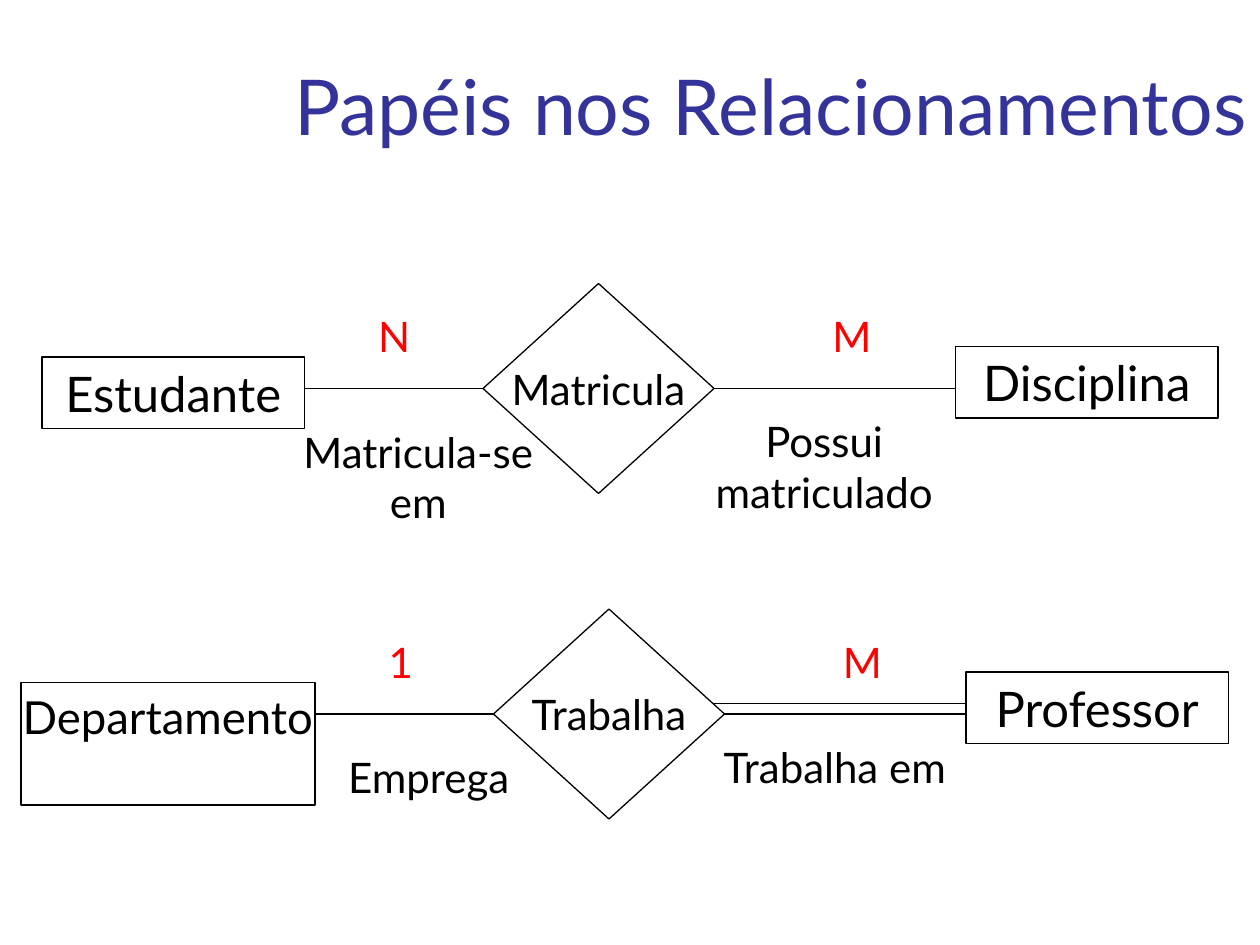
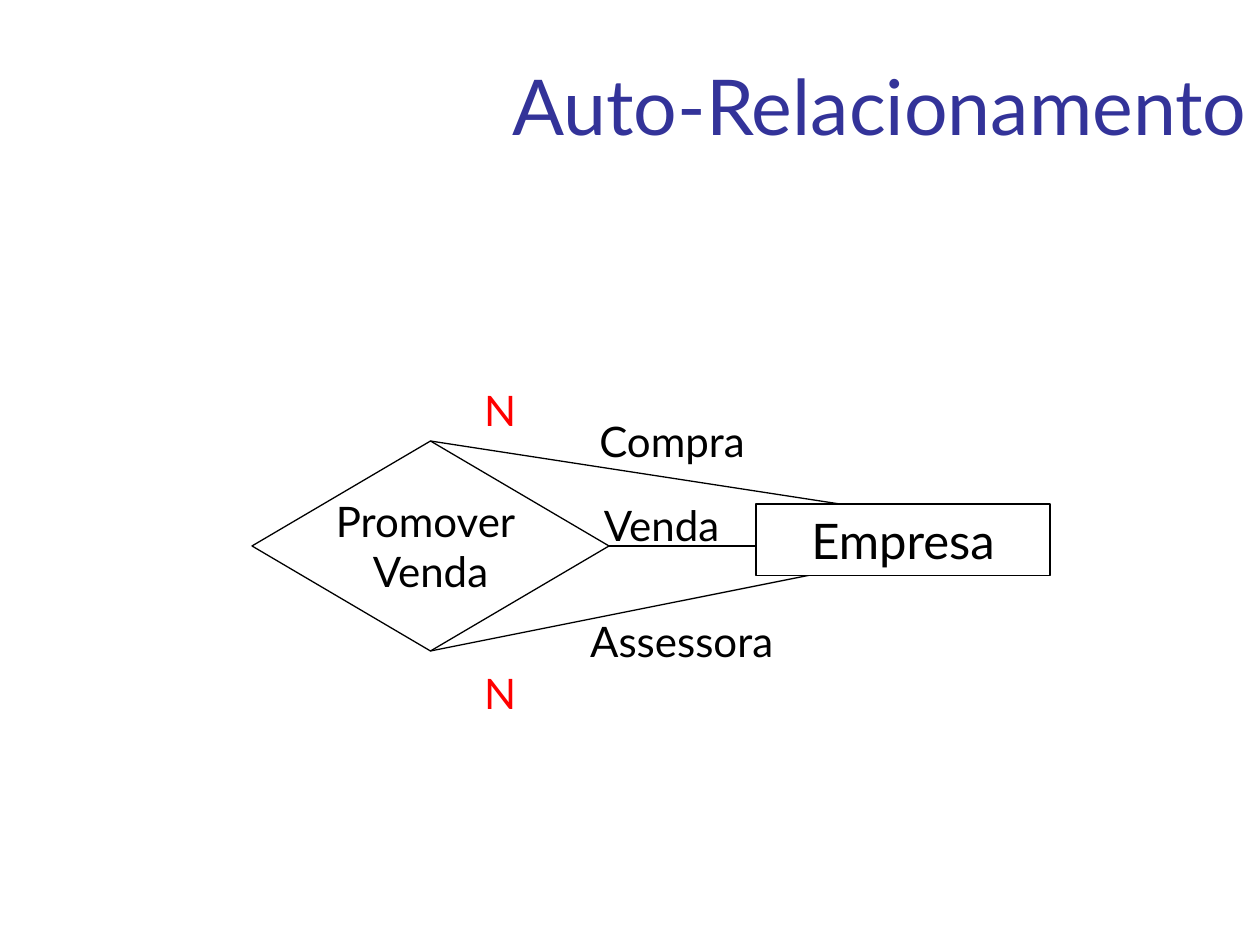
import pptx
import pptx.dml.color
import pptx.enum.shapes
import pptx.enum.text
import pptx.oxml
import pptx.util

Pt = pptx.util.Pt
SHAPE = pptx.enum.shapes.MSO_SHAPE
ALIGN = pptx.enum.text.PP_ALIGN
ANCHOR = pptx.enum.text.MSO_ANCHOR
FIT = pptx.enum.text.MSO_AUTO_SIZE

FONT = "Lato"
BLACK, WHITE, RED, INDIGO = "000000", "FFFFFF", "FF0000", "333399"
LINE_WIDTH = 0.75
DIAMOND_HEIGHT, ENTITY_HEIGHT = 120, 41
TOP, BOTTOM = 0, 2
NARROW, WIDE = 32, 150


def rgb(code):
    return pptx.dml.color.RGBColor.from_string(code)


def apply(obj, values):
    for name, value in values.items():
        setattr(obj, name, value)


def write(tf, text, size, color=BLACK, align=ALIGN.CENTER, **frame):
    """Fill a text frame, one paragraph per line of text."""
    inset = frame.pop("inset", 7.2)
    apply(tf, {"margin_left": Pt(inset), "margin_right": Pt(inset),
               "margin_top": Pt(3.6), "margin_bottom": Pt(3.6), **frame})
    tf.text = text
    for p in tf.paragraphs:
        p.alignment = align
        for r in p.runs:
            apply(r.font, {"name": FONT, "size": Pt(size)})
            r.font.color.rgb = rgb(color)


def add_slide(prs, title):
    s = prs.slides.add_slide(prs.slide_layouts[5])
    sp = s.shapes.title
    apply(sp, {"left": Pt(106.5), "top": Pt(0),
               "width": Pt(613.5), "height": Pt(90)})
    write(sp.text_frame, title, 44, INDIGO, ALIGN.RIGHT, word_wrap=True,
          vertical_anchor=ANCHOR.BOTTOM, auto_size=FIT.NONE)
    return s


def add_box(s, kind, left, top, width, height):
    sp = s.shapes.add_shape(kind, Pt(left), Pt(top), Pt(width), Pt(height))
    sp.shadow.inherit = False
    sp.fill.solid()
    sp.fill.fore_color.rgb = rgb(WHITE)
    sp.line.color.rgb = rgb(BLACK)
    sp.line.width = Pt(LINE_WIDTH)
    return sp


def add_diamond(s, text, left, top, width):
    sp = add_box(s, SHAPE.DIAMOND, left, top, width, DIAMOND_HEIGHT)
    write(sp.text_frame, text, 24, word_wrap=False,
          vertical_anchor=ANCHOR.MIDDLE, auto_size=FIT.NONE)
    return sp


def add_entity(s, text, left, top, width=150, height=ENTITY_HEIGHT, size=28,
               inset=7.2):
    sp = add_box(s, SHAPE.RECTANGLE, left, top, width, height)
    write(sp.text_frame, text, size, inset=inset, word_wrap=True,
          vertical_anchor=ANCHOR.TOP, auto_size=FIT.NONE)
    return sp


def add_label(s, text, center, top, width=WIDE, color=BLACK,
              align=ALIGN.CENTER):
    height = 7.2 + 28.8 * len(text.split("\n"))
    sp = s.shapes.add_textbox(Pt(center - width / 2), Pt(top),
                              Pt(width), Pt(height))
    write(sp.text_frame, text, 24, color, align, word_wrap=False,
          auto_size=FIT.SHAPE_TO_FIT_TEXT)


def add_cardinality(s, text, center, top):
    add_label(s, text, center, top, NARROW, RED, ALIGN.LEFT)


def add_line(s, x1, y1, x2, y2):
    c = s.shapes.add_connector(pptx.enum.shapes.MSO_CONNECTOR.STRAIGHT,
                               Pt(x1), Pt(y1), Pt(x2), Pt(y2))
    c.line.color.rgb = rgb(BLACK)
    c.line.width = Pt(LINE_WIDTH)
    c._element.spPr.append(pptx.oxml.parse_xml(
        '<a:effectLst xmlns:a='
        '"http://schemas.openxmlformats.org/drawingml/2006/main"/>'))
    return c


def add_relationship(s, x, y, name, target, cardinalities, roles):
    """Link, diamond, right-hand entity and labels, placed from the diamond."""
    add_line(s, x - 126, y + 60, x + 288, y + 60)
    add_diamond(s, name, x, y, 132)
    add_entity(s, target, x + 270, y + 36)
    for text, dx in zip(cardinalities, (-51, 208.5)):
        add_cardinality(s, text, x + dx, y + 12)
    for text, dx, dy in zip(roles, (-37, 195), (78, 72)):
        add_label(s, text, x + dx, y + dy)


def build_roles(prs):
    s = add_slide(prs, "Papéis nos Relacionamentos")
    # Second stroke that doubles the link to Professor
    add_line(s, 372, 402, 570, 402)
    add_relationship(s, 276, 162, "Matricula", "Disciplina", ("N", "M"),
                     ("Matricula-se\nem", "Possui\nmatriculado"))
    add_entity(s, "Estudante", 24, 204)
    add_relationship(s, 282, 348, "Trabalha", "Professor", ("1", "M"),
                     ("Emprega", "Trabalha em"))
    add_entity(s, "Departamento", 12, 390, 168, 70, size=26, inset=0)


def build_self_relationship(prs):
    s = add_slide(prs, "Auto-Relacionamento")
    # Three links between the diamond and the entity
    add_line(s, 306, 312, 504, 312)
    diamond = add_diamond(s, "Promover \nVenda", 144, 252, 204)
    add_line(s, 246, 372, 486, 324).begin_connect(diamond, BOTTOM)
    add_line(s, 246, 252, 480, 288).begin_connect(diamond, TOP)
    add_entity(s, "Empresa", 432, 288, 168)
    # Cardinalities and roles
    for top in (216, 378):
        add_cardinality(s, "N", 285.5, top)
    for text, center, top, width in (("Compra", 384, 234, 104),
                                     ("Assessora", 389.5, 348, 127),
                                     ("Venda", 378, 282, 85)):
        add_label(s, text, center, top, width)


def main():
    prs = pptx.Presentation()
    apply(prs, {"slide_width": Pt(720), "slide_height": Pt(540)})
    build_roles(prs)
    build_self_relationship(prs)
    prs.save("out.pptx")


if __name__ == "__main__":
    main()
